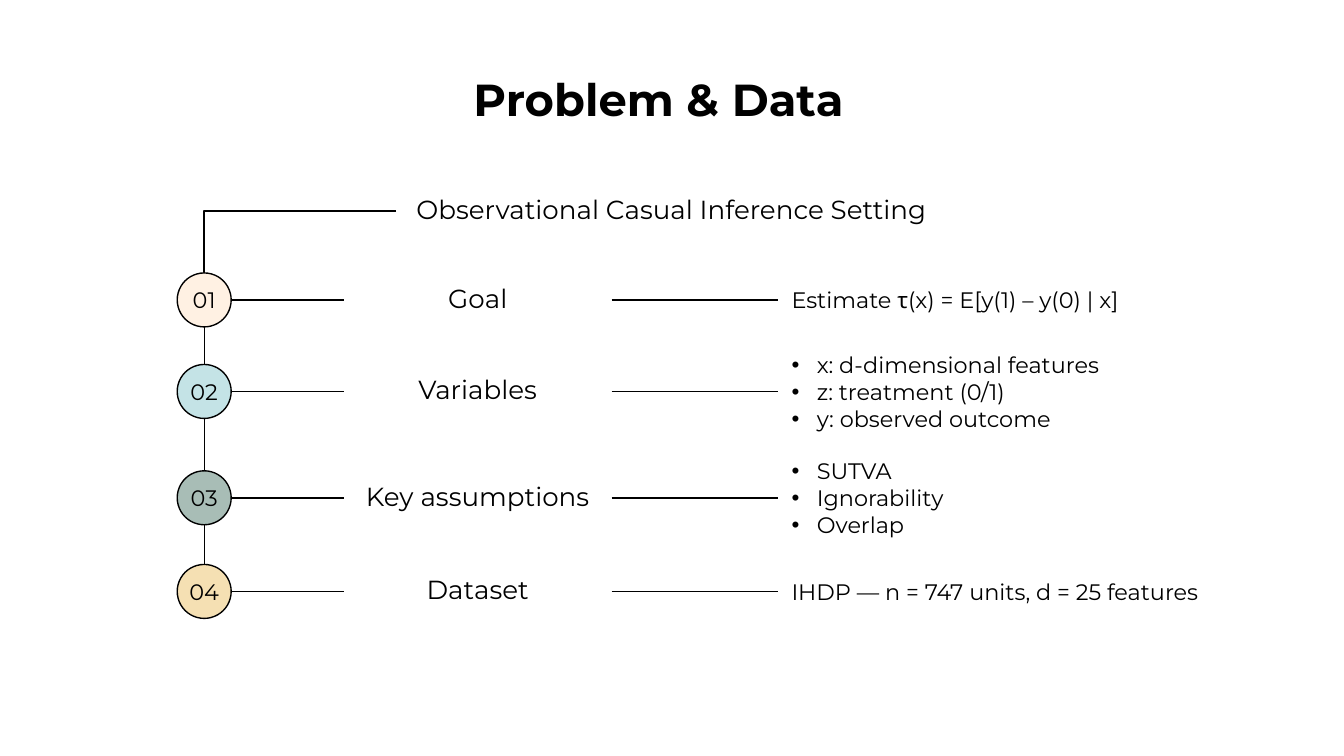
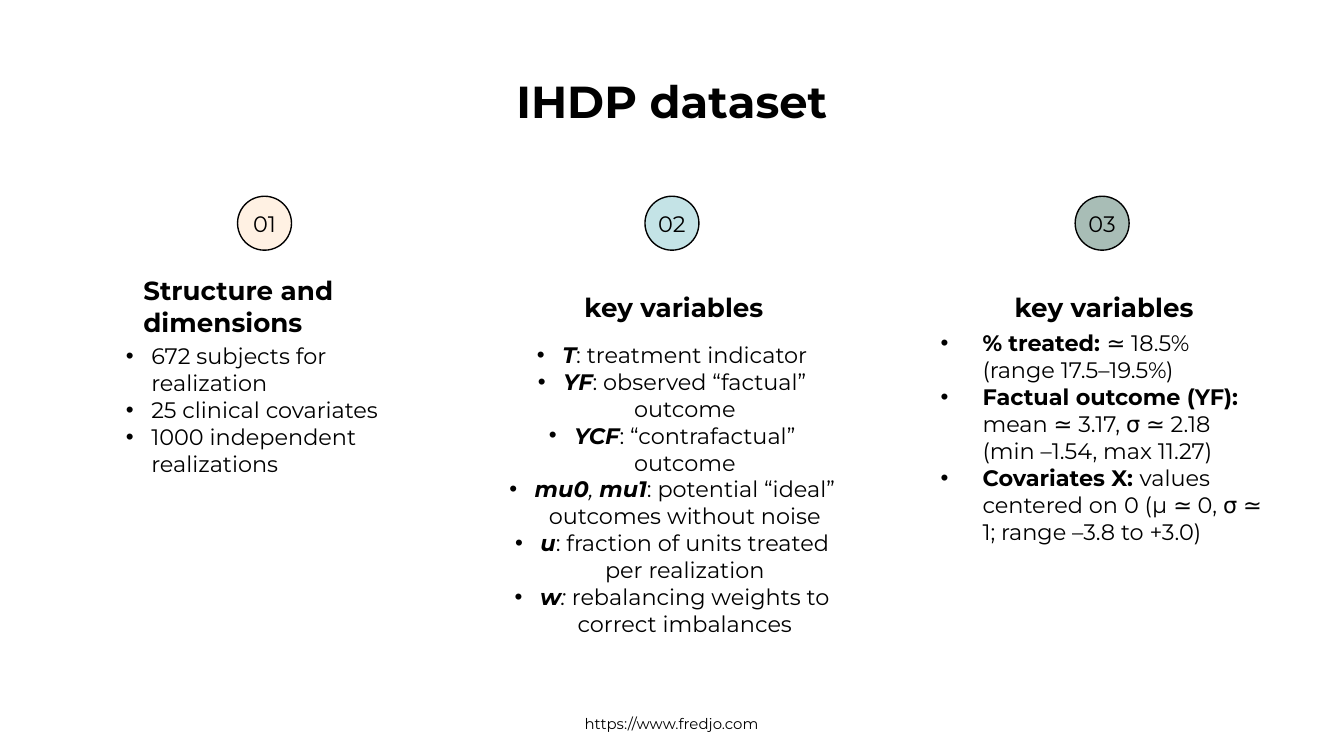
from lxml.etree import SubElement
from pptx import Presentation
from pptx.dml.color import RGBColor
from pptx.enum.shapes import MSO_CONNECTOR, MSO_SHAPE
from pptx.enum.text import MSO_ANCHOR, MSO_AUTO_SIZE, PP_ALIGN
from pptx.oxml.ns import qn
from pptx.util import Cm, Pt

FONT = "Montserrat"
INK = "000000"
BADGE_FILLS = ["FFF1E3", "C4E3E6", "A8BDB6", "F5E0B3"]
BADGE_SIZE = 1.02
INSET = 0.25
BULLET_INDENT = 0.48

BOLD = {"bold": True}
ITALIC = {"italic": True}
BOTH = {**BOLD, **ITALIC}

TITLE_SIZE = (22.89, 1.55)
PROBLEM_TITLE = ("Problem & Data", 1, 1.1)
DATASET_TITLE = ("IHDP dataset", 1.25, 1.14)

SETTING = "Observational Casual Inference Setting"
SETTING_BOX = (7.49, 3.48, 10.41, BADGE_SIZE)
BADGE_X = 3.86
LABEL_X, LABEL_WIDTH = 6.5, 5.06
DETAIL_X, DETAIL_HEIGHT = 14.71, 1.32
STEPS = [
    (5.67, "Goal", 7.34, False, ["Estimate τ(x) = E[y(1) – y(0) | x]"]),
    (7.4, "Variables", 7.34, True,
     ["x: d‑dimensional features", "z: treatment (0/1)", "y: observed outcome"]),
    (9.41, "Key assumptions", 7.34, True, ["SUTVA", "Ignorability", "Overlap"]),
    (11.18, "Dataset", 9.17, False, ["IHDP — n = 747 units, d = 25 features"]),
]

COLUMN_BADGE_Y = 4.22
COLUMNS = [
    {
        "center": 5,
        "heading": "Structure and dimensions",
        "heading_box": (2.46, 5.08, 5.08, 1.55),
        "heading_align": PP_ALIGN.LEFT,
        "body_box": (2.13, 6.22, 5.77, 1.91),
        "body_format": {},
        "body": [
            "672 subjects for realization",
            "25 clinical covariates",
            "1000 independent realizations",
        ],
    },
    {
        "center": 12.7,
        "heading": "key variables",
        "heading_box": (10.69, 5.33, 3.99, BADGE_SIZE),
        "heading_align": PP_ALIGN.RIGHT,
        "body_box": (9.3, 6.2, 6.81, 1.91),
        "body_format": {"align": PP_ALIGN.CENTER},
        "body": [
            [("T", BOTH), (": treatment indicator", {})],
            [("YF", BOTH), (": observed “factual” outcome", {})],
            [("YCF", BOTH), (": “contrafactual” outcome", {})],
            [("mu0", BOTH), (", ", ITALIC), ("mu1", BOTH),
             (": potential “ideal” outcomes without noise", {})],
            [("u", BOTH), (": fraction of units treated per realization", {})],
            [("w", BOTH), (":", ITALIC),
             (" rebalancing weights to correct imbalances", {})],
        ],
    },
    {
        "center": 20.83,
        "heading": "key variables",
        "heading_box": (18.82, 5.33, 3.99, BADGE_SIZE),
        "heading_align": PP_ALIGN.RIGHT,
        "body_box": (17.53, 6.1, 6.63, 4.88),
        "body_format": {"indent": 0.79, "inset_y": 0.13},
        "body": [
            [("% treated: ", BOLD), ("≃ 18.5% (range 17.5–19.5%)", {})],
            [("Factual outcome (YF): ", BOLD),
             ("mean ≃ 3.17, σ ≃ 2.18 (min –1.54, max 11.27)", {})],
            [("Covariates X: ", BOLD),
             ("values centered on 0 (μ ≃ 0, σ ≃ 1; range –3.8 to +3.0)", {})],
        ],
    },
]
SOURCE = "https://www.fredjo.com"
SOURCE_BOX = (8.53, 13.44, 8.33, 0.46)


def color(value):
    return RGBColor.from_string(value)


def apply(target, values):
    for name, value in values.items():
        setattr(target, name, value)


def add_bullet(para, indent):
    properties = para._p.get_or_add_pPr()
    properties.set("marL", str(Cm(indent)))
    properties.set("indent", str(-Cm(indent)))
    SubElement(SubElement(properties, qn("a:buClr")), qn("a:srgbClr")).set("val", INK)
    SubElement(properties, qn("a:buFont")).set("typeface", "Arial")
    SubElement(properties, qn("a:buChar")).set("char", "•")


def write(box, paragraphs, size, style={}, align=PP_ALIGN.LEFT,
          anchor=MSO_ANCHOR.TOP, indent=0, inset_x=INSET, inset_y=INSET):
    frame = box.text_frame
    apply(frame, {
        "word_wrap": True,
        "auto_size": MSO_AUTO_SIZE.NONE,
        "vertical_anchor": anchor,
        "margin_left": Cm(inset_x),
        "margin_right": Cm(inset_x),
        "margin_top": Cm(inset_y),
        "margin_bottom": Cm(inset_y),
    })
    for index, content in enumerate(paragraphs):
        para = frame.add_paragraph() if index else frame.paragraphs[0]
        para.alignment = align
        if indent:
            add_bullet(para, indent)
        spans = [(content, style)] if isinstance(content, str) else content
        for text, span_style in spans:
            span = para.add_run()
            span.text = text
            apply(span.font, {"name": FONT, "size": Pt(size), **span_style})
            span.font.color.rgb = color(INK)


def add_text(page, place, paragraphs, size, **options):
    box = page.shapes.add_textbox(*map(Cm, place))
    write(box, paragraphs, size, **options)
    return box


def add_page(deck, title):
    text, left, top = title
    page = deck.slides.add_slide(deck.slide_layouts[5])
    box = page.shapes.title
    width, height = TITLE_SIZE
    apply(box, {"left": Cm(left), "top": Cm(top),
                "width": Cm(width), "height": Cm(height)})
    write(box, [text], 24, style=BOLD, align=PP_ALIGN.CENTER)
    return page


def add_badge(page, index, center_x, center_y):
    corner = [Cm(center - BADGE_SIZE / 2) for center in (center_x, center_y)]
    badge = page.shapes.add_shape(MSO_SHAPE.OVAL, *corner, Cm(BADGE_SIZE), Cm(BADGE_SIZE))
    badge.shadow.inherit = False
    badge.fill.solid()
    badge.fill.fore_color.rgb = color(BADGE_FILLS[index])
    badge.line.color.rgb = color(INK)
    badge.line.width = Pt(0.75)
    write(badge, [f"{index + 1:02d}"], 12, align=PP_ALIGN.CENTER,
          anchor=MSO_ANCHOR.MIDDLE, inset_x=0)


def add_line(page, start, end, kind=MSO_CONNECTOR.STRAIGHT):
    line = page.shapes.add_connector(kind, *map(Cm, start + end))
    line.line.color.rgb = color(INK)
    line.line.width = Pt(0.75)
    SubElement(line._element.spPr, qn("a:effectLst"))
    return line


def build_problem(deck):
    page = add_page(deck, PROBLEM_TITLE)
    radius = BADGE_SIZE / 2
    first, last = STEPS[0][0], STEPS[-1][0]
    add_line(page, (BADGE_X, first + radius), (BADGE_X, last - radius))
    add_text(page, SETTING_BOX, [SETTING], 14, align=PP_ALIGN.CENTER,
             anchor=MSO_ANCHOR.BOTTOM)
    left, top = SETTING_BOX[:2]
    elbow = add_line(page, (left, top + radius), (BADGE_X, first - radius),
                     MSO_CONNECTOR.ELBOW)
    elbow._element.spPr.find(qn("a:prstGeom")).set("prst", "bentConnector2")

    for index, (middle, label, width, bulleted, details) in enumerate(STEPS):
        label_box = add_text(
            page, (LABEL_X, middle - radius, LABEL_WIDTH, BADGE_SIZE), [label], 14,
            align=PP_ALIGN.CENTER, anchor=MSO_ANCHOR.BOTTOM)
        detail_box = add_text(
            page, (DETAIL_X, middle - DETAIL_HEIGHT / 2, width, DETAIL_HEIGHT), details, 12,
            anchor=MSO_ANCHOR.MIDDLE, indent=BULLET_INDENT if bulleted else 0)
        add_badge(page, index, BADGE_X, middle)
        link = add_line(page, (BADGE_X + radius, middle), (LABEL_X, middle))
        link.end_connect(label_box, 1)
        link = add_line(page, (LABEL_X + LABEL_WIDTH, middle), (DETAIL_X, middle))
        link.begin_connect(label_box, 3)
        link.end_connect(detail_box, 1)


def build_dataset(deck):
    page = add_page(deck, DATASET_TITLE)
    add_text(page, SOURCE_BOX, [SOURCE], 8, align=PP_ALIGN.CENTER,
             anchor=MSO_ANCHOR.MIDDLE)
    for index, column in enumerate(COLUMNS):
        add_badge(page, index, column["center"], COLUMN_BADGE_Y)
        add_text(page, column["heading_box"], [column["heading"]], 14, style=BOLD,
                 align=column["heading_align"], anchor=MSO_ANCHOR.BOTTOM)
        add_text(page, column["body_box"], column["body"], 12,
                 **{"indent": BULLET_INDENT, **column["body_format"]})


def main():
    deck = Presentation()
    apply(deck, {"slide_width": Cm(25.4), "slide_height": Cm(14.29)})
    build_problem(deck)
    build_dataset(deck)
    deck.save("out.pptx")


if __name__ == "__main__":
    main()
